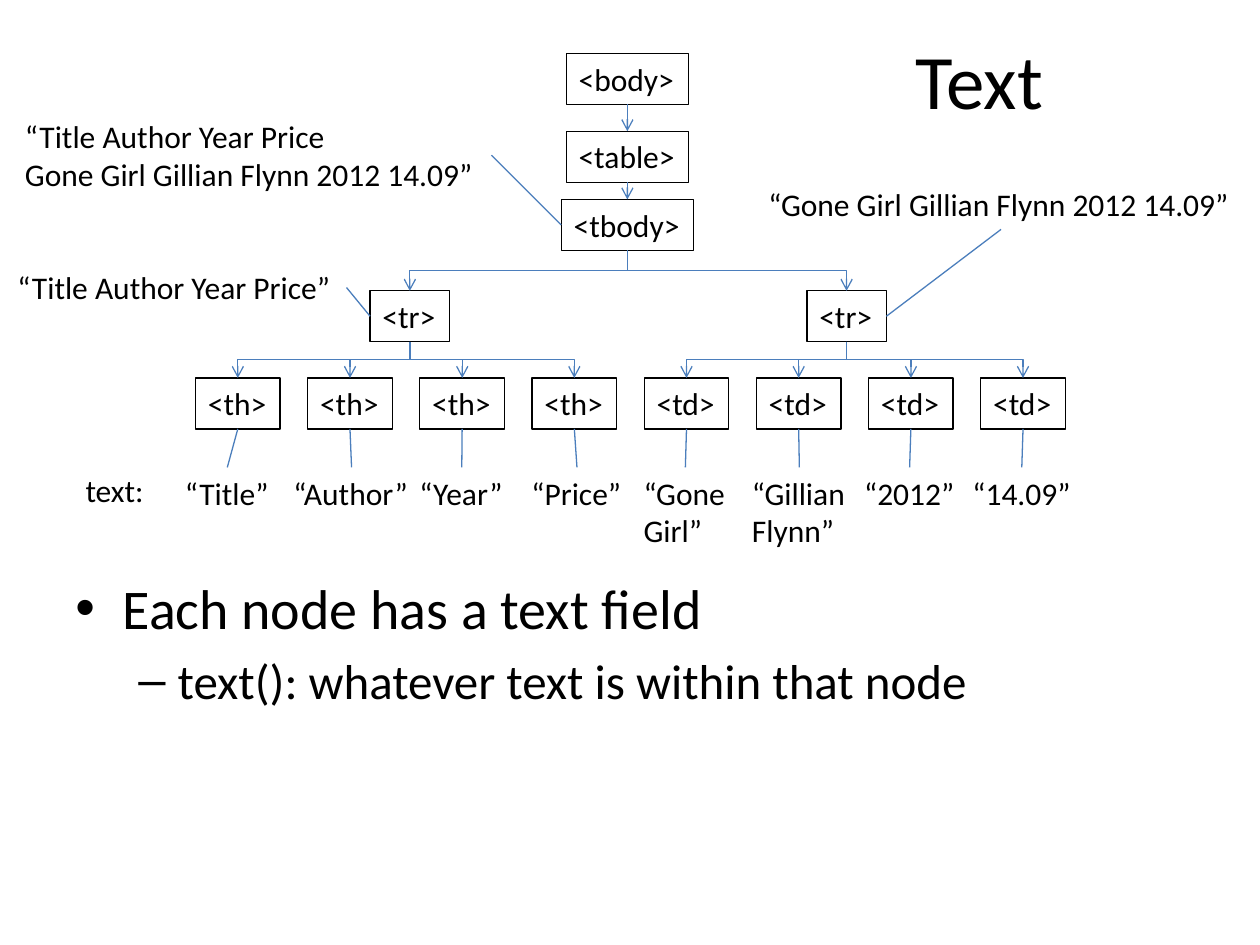
from dataclasses import dataclass

from pptx import Presentation
from pptx import util as u
from pptx.dml.color import RGBColor
from pptx.enum import shapes, text
from pptx.oxml import ns, parse_xml

BLACK, BLUE = "000000", "4B7EBC"
NODE_HEIGHT = 29.1
DRAWING_NS = ns.nsdecls("a")


@dataclass
class Node:
    tag: str
    center: float
    top: float
    width: float

    @property
    def left(self) -> float:
        return self.center - self.width / 2

    @property
    def right(self) -> float:
        return self.center + self.width / 2

    @property
    def middle(self) -> float:
        return self.top + NODE_HEIGHT / 2

    @property
    def bottom(self) -> float:
        return self.top + NODE_HEIGHT


@dataclass
class Label:
    words: str
    left: float
    top: float
    width: float
    height: float = NODE_HEIGHT
    size: float = 18

    @property
    def center(self) -> float:
        return self.left + self.width / 2


def color(value: str) -> RGBColor:
    return RGBColor.from_string(value)


def style_line(line, value: str) -> None:
    line.color.rgb = color(value)
    line.width = u.Pt(0.75)


def add_span(para, words: str, size: float) -> None:
    para.text = words
    values = {"name": "Calibri", "size": u.Pt(size)}
    for span in para.runs:
        for name, value in values.items():
            setattr(span.font, name, value)
        span.font.color.rgb = color(BLACK)


def draw_label(page, label: Label):
    box = page.shapes.add_textbox(
        *map(u.Pt, (label.left, label.top, label.width, label.height)))
    values = {"word_wrap": False, "auto_size": text.MSO_AUTO_SIZE.SHAPE_TO_FIT_TEXT}
    for name, value in values.items():
        setattr(box.text_frame, name, value)
    add_span(box.text_frame.paragraphs[0], label.words, label.size)
    return box


def draw_node(page, node: Node) -> None:
    box = draw_label(page, Label(node.tag, node.left, node.top, node.width))
    style_line(box.line, BLACK)


def draw_line(page, start_x: float, start_y: float, end_x: float, end_y: float,
              kind=shapes.MSO_CONNECTOR.STRAIGHT, arrow: bool = False):
    line = page.shapes.add_connector(
        kind, *map(u.Pt, (start_x, start_y, end_x, end_y)))
    style_line(line.line, BLUE)
    if arrow:
        line.line._get_or_add_ln().append(
            parse_xml(f'<a:tailEnd {DRAWING_NS} type="arrow"/>'))
    line._element.spPr.append(parse_xml(f"<a:effectLst {DRAWING_NS}/>"))
    return line


def draw_branch(page, parent: Node, child: Node) -> None:
    run, drop = child.center - parent.center, child.top - parent.bottom
    if run == 0:
        draw_line(page, parent.center, parent.bottom, child.center, child.top, arrow=True)
        return
    middle_x = (parent.center + child.center) / 2
    middle_y = (parent.bottom + child.top) / 2
    reach = drop / 2 if run < 0 else -drop / 2
    line = draw_line(page, middle_x - reach, middle_y - abs(run) / 2,
                     middle_x + reach, middle_y + abs(run) / 2,
                     shapes.MSO_CONNECTOR.ELBOW, arrow=True)
    degrees = 90 if run < 0 else 270
    line._element.spPr.find(ns.qn("a:xfrm")).set("rot", str(degrees * 60000))


def draw_bullets(page) -> None:
    box = page.shapes.add_textbox(*map(u.Pt, (36, 324, 648, 158.4)))
    frame = box.text_frame
    frame.word_wrap = True
    bullets = [
        ("Each node has a text field", 32, "•", 0, 27, 27),
        ("text(): whatever text is within that node", 28, "–", 1, 58.5, 22.5),
    ]
    for index, (words, size, mark, level, margin, hang) in enumerate(bullets):
        para = frame.add_paragraph() if index else frame.paragraphs[0]
        add_span(para, words, size)
        for name, value in {"level": level, "space_before": u.Pt(size * 0.2)}.items():
            setattr(para, name, value)
        props = para._p.get_or_add_pPr()
        props.set("marL", str(u.Pt(margin)))
        props.set("indent", str(-u.Pt(hang)))
        props.append(parse_xml(f'<a:buFont {DRAWING_NS} typeface="Arial"/>'))
        props.append(parse_xml(f'<a:buChar {DRAWING_NS} char="{mark}"/>'))


def main() -> None:
    deck = Presentation()
    deck.slide_width, deck.slide_height = u.Pt(720), u.Pt(540)
    page = deck.slides.add_slide(deck.slide_layouts[6])

    body = Node("<body>", 358.5, 30.5, 69.8)
    table = Node("<table>", 358.5, 75, 69.9)
    tbody = Node("<tbody>", 358.5, 114, 75.6)
    head_row = Node("<tr>", 234.2, 166.2, 45.4)
    data_row = Node("<tr>", 483.8, 166.2, 45.4)
    cells = [Node("<th>" if index < 4 else "<td>", 135.9 + 64.1 * index, 216, 48.4)
             for index in range(8)]
    branches = [(body, table), (table, tbody), (tbody, head_row), (tbody, data_row)]
    branches += [(head_row, cell) for cell in cells[:4]]
    branches += [(data_row, cell) for cell in cells[4:]]

    for node in [body, table, tbody, head_row, data_row, *cells]:
        draw_node(page, node)
    for parent, child in branches:
        draw_branch(page, parent, child)

    cell_top = 267.1
    cell_labels = [
        Label("“Title”", 98.6, cell_top, 62.6),
        Label("“Author”", 160.6, cell_top, 80.6),
        Label("“Year”", 232.6, cell_top, 62.6),
        Label("“Price”", 296.6, cell_top, 66.2),
        Label("“Gone\vGirl”", 360.7, cell_top, 61.9, 51.1),
        Label("“Gillian\vFlynn”", 422.6, cell_top, 68.4, 51.1),
        Label("“2012”", 486.7, cell_top, 66.2),
        Label("“14.09”", 548.6, cell_top, 70.6),
    ]
    for cell, label in zip(cells, cell_labels):
        draw_label(page, label)
        draw_line(page, cell.center, cell.bottom, label.center, label.top)

    table_text = Label("“Title Author Year Price\vGone Girl Gillian Flynn 2012 14.09”",
                       7.2, 63.4, 273.6, 51.1)
    head_text = Label("“Title Author Year Price”", 2.9, 149.8, 195.1)
    data_text = Label("“Gone Girl Gillian Flynn 2012 14.09”", 432, 102, 280.1)
    row_label = Label("text:", 41.8, 265.7, 48.2)
    title = Label("Text", 516.2, 15.1, 87.8, 60.5, 44)
    for label in (table_text, head_text, data_text, row_label, title):
        draw_label(page, label)

    draw_line(page, tbody.left, tbody.middle, 280.8, 88.7)
    draw_line(page, head_row.left, head_row.middle, 198, 164.3)
    draw_line(page, data_row.right, data_row.middle, data_text.center, 131.1)
    draw_bullets(page)
    deck.save("out.pptx")


if __name__ == "__main__":
    main()
